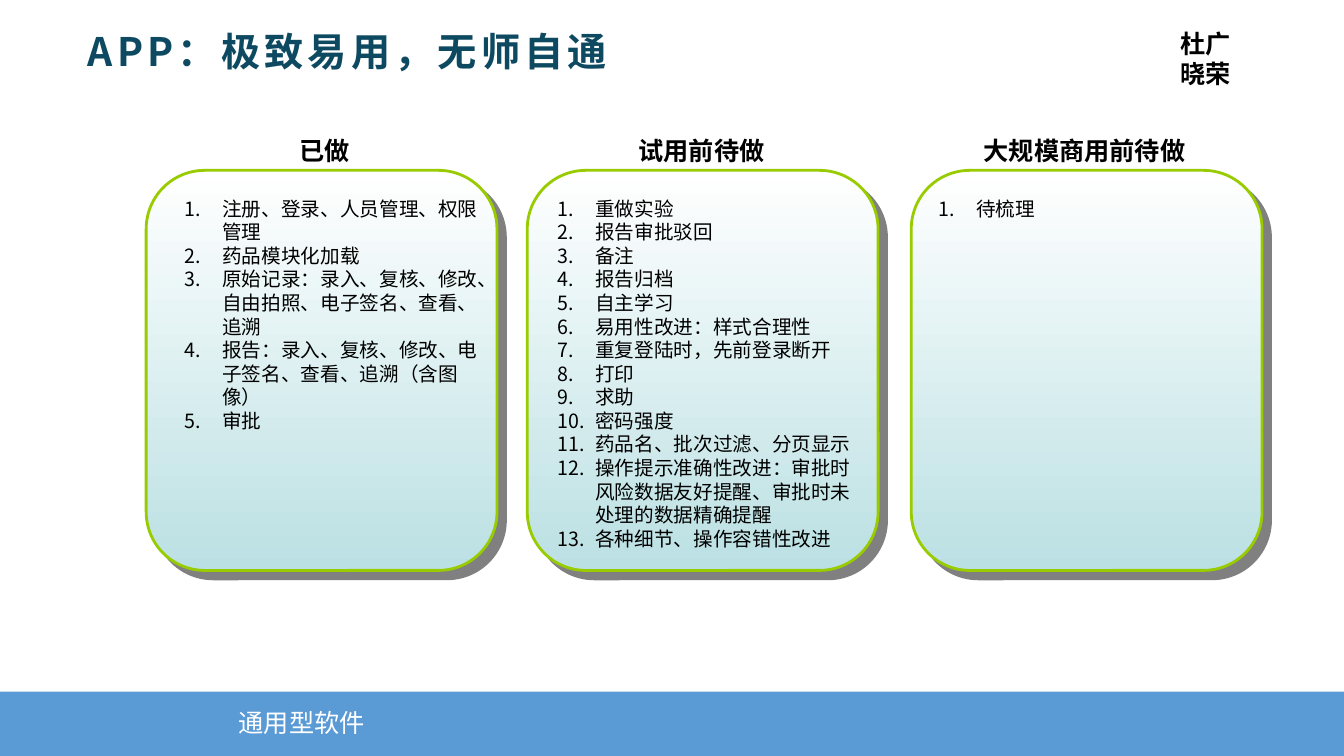
import pptx
import pptx.util
import pptx.dml.color
import pptx.enum.shapes
import pptx.enum.text
import pptx.oxml
import pptx.oxml.ns

Pt = pptx.util.Pt
ALIGN = pptx.enum.text.PP_ALIGN
ANCHOR = pptx.enum.text.MSO_ANCHOR
SHAPE = pptx.enum.shapes.MSO_SHAPE
qn = pptx.oxml.ns.qn
NS = pptx.oxml.ns.nsdecls("a")

SANS = "Noto Sans CJK SC"
TOP, WIDE, HIGH = 121.7, 250.6, 285.8  # shared by all cards

# Heading, card left, heading left, list left, placeholder index, items
CARDS = [
    ("已做", 104.4, 129.6, 124.6, 1, [
        "注册、登录、人员管理、权限管理",
        "药品模块化加载",
        "原始记录：录入、复核、修改、自由拍照、电子签名、查看、追溯",
        "报告：录入、复核、修改、电子签名、查看、追溯（含图像）",
        "审批",
    ]),
    ("试用前待做", 376.6, 398.9, 391, 2, [
        "重做实验",
        "报告审批驳回",
        "备注",
        "报告归档",
        "自主学习",
        "易用性改进：样式合理性",
        "重复登陆时，先前登录断开",
        "打印",
        "求助",
        "密码强度",
        "药品名、批次过滤、分页显示",
        "操作提示准确性改进：审批时风险数据友好提醒、审批时未处理的数据精确提醒",
        "各种细节、操作容错性改进",
    ]),
    ("大规模商用前待做", 650.9, 672.5, 663.1, 3, ["待梳理"]),
]


def color(code):
    return pptx.dml.color.RGBColor.from_string(code)


def place(item, left, top, width, height):
    item.left, item.top = Pt(left), Pt(top)
    item.width, item.height = Pt(width), Pt(height)


def style(run, size, code="000000", bold=False, font=SANS):
    run.font.size = Pt(size)
    run.font.bold = bold
    run.font.color.rgb = color(code)
    run.font.name = font
    props = run.font._element
    props.append(pptx.oxml.parse_xml(f'<a:ea {NS} typeface="{font}"/>'))
    return props


def fill(frame, lines, size, pitch, align=ALIGN.LEFT, **look):
    """Write one paragraph per line and return the paragraphs."""
    frame.word_wrap = True
    frame.auto_size = pptx.enum.text.MSO_AUTO_SIZE.NONE
    frame.vertical_anchor = ANCHOR.TOP
    for n, line in enumerate(lines):
        para = frame.paragraphs[0] if n == 0 else frame.add_paragraph()
        para.alignment = align
        para.line_spacing = Pt(pitch)
        para.space_before = para.space_after = Pt(0)
        run = para.add_run()
        run.text = line
        style(run, size, **look)
    return frame.paragraphs


def label(slide, lines, box, **look):
    item = slide.shapes.add_textbox(*map(Pt, box))
    fill(item.text_frame, lines, 18, 21.6, **look)


def footer(slide):
    bar = slide.shapes.add_shape(SHAPE.RECTANGLE, 0, Pt(494), Pt(960), Pt(46))
    bar.shadow.inherit = False
    bar.fill.solid()
    bar.fill.fore_color.rgb = color("5B9BD5")
    bar.line.fill.background()
    label(slide, ["通用型软件"], (163.4, 501.8, 106.6, 28.8), code="FFFFFF")


def title(slide):
    item = slide.shapes.title
    place(item, 56.9, 16.6, 805, 39.6)
    frame = item.text_frame
    frame.margin_left = frame.margin_right = Pt(5.8)
    frame.margin_top = frame.margin_bottom = Pt(2.9)
    frame.word_wrap = True
    frame.vertical_anchor = ANCHOR.MIDDLE
    para = frame.paragraphs[0]
    para.alignment = ALIGN.LEFT
    run = para.add_run()
    run.text = "APP：极致易用，无师自通"
    props = style(run, 28, "0D4960", True, "Noto Sans CJK JP")
    props.set("spc", "300")


def panel(slide, left):
    item = slide.shapes.add_shape(
        SHAPE.ROUNDED_RECTANGLE, Pt(left), Pt(TOP), Pt(WIDE), Pt(HIGH))
    item.adjustments[0] = 0.167
    item.fill.gradient()
    item.fill.gradient_angle = 270
    for stop, spot, code in zip(
            item.fill.gradient_stops, (0, 1), ("FFFFFF", "BBE0E3")):
        stop.position = spot
        stop.color.rgb = color(code)
    item.line.color.rgb = color("99CC00")
    item.line.width = Pt(2)
    # Hard grey shadow to the lower right
    item.shadow.inherit = False
    item.element.spPr.find(qn("a:effectLst")).append(pptx.oxml.parse_xml(
        f'<a:outerShdw {NS} blurRad="0" dist="{Pt(8.5)}" dir="2700000" '
        'algn="ctr" rotWithShape="0"><a:srgbClr val="808080"/></a:outerShdw>'))


def steps(slide, index, left, lines):
    """Numbered list in a body placeholder, brought in front of its panel."""
    item = slide.placeholders[index]
    place(item, left, 136.8, 226, 7.2 + 17 * 15)
    item.element.getparent().append(item.element)
    for para in fill(item.text_frame, lines, 14, 16.85):
        props = para._p.get_or_add_pPr()
        props.set("marL", str(Pt(27)))
        props.set("indent", str(-Pt(27)))
        props.append(pptx.oxml.parse_xml(f'<a:buFont {NS} typeface="+mj-lt"/>'))
        props.append(pptx.oxml.parse_xml(
            f'<a:buAutoNum {NS} type="arabicPeriod"/>'))


def main():
    deck = pptx.Presentation()
    deck.slide_width, deck.slide_height = Pt(960), Pt(540)
    slide = deck.slides.add_slide(deck.slide_layouts[4])

    footer(slide)
    title(slide)

    # Three columns of work
    for head, left, top_left, list_left, index, lines in CARDS:
        label(slide, [head], (top_left, 92.9, 204.5, 28.8),
              align=ALIGN.CENTER, bold=True)
        panel(slide, left)
        steps(slide, index, list_left, lines)

    # Owners
    label(slide, ["杜广", "晓荣"], (835.9, 16.6, 82.8, 51.1), bold=True)

    # Unused placeholder of the layout
    spare = slide.placeholders[4].element
    spare.getparent().remove(spare)

    deck.save("out.pptx")


if __name__ == "__main__":
    main()
